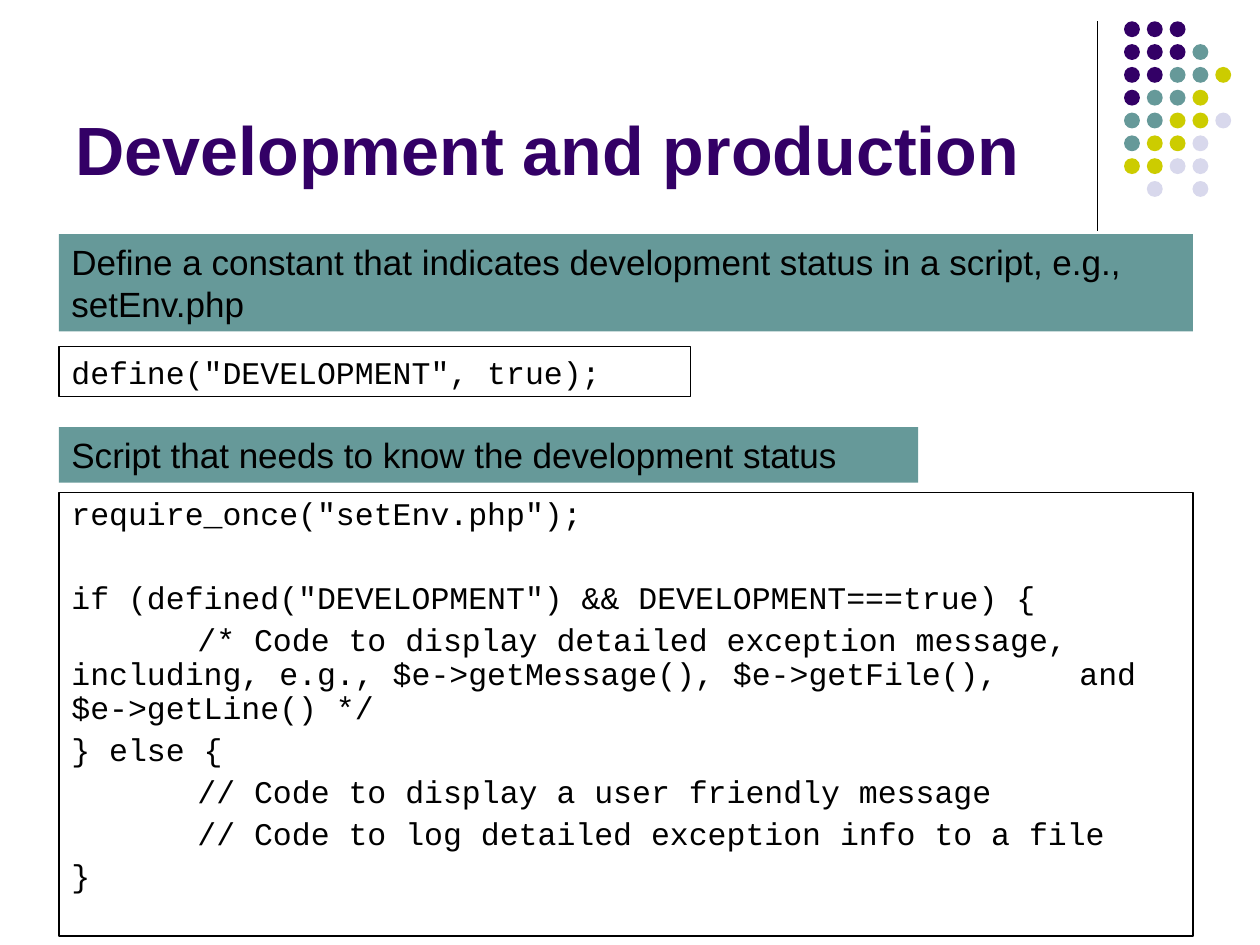
from dataclasses import dataclass

from lxml import etree
from pptx import Presentation
from pptx.dml.color import RGBColor
from pptx.enum.shapes import MSO_CONNECTOR, MSO_SHAPE
from pptx.enum.text import MSO_ANCHOR, MSO_AUTO_SIZE, PP_ALIGN
from pptx.oxml.ns import qn
from pptx.util import Cm, Pt

LEFT = PP_ALIGN.LEFT
TOP, MIDDLE, BOTTOM = MSO_ANCHOR.TOP, MSO_ANCHOR.MIDDLE, MSO_ANCHOR.BOTTOM
NO_AUTO_SIZE = MSO_AUTO_SIZE.NONE
RECTANGLE, OVAL = MSO_SHAPE.RECTANGLE, MSO_SHAPE.OVAL
STRAIGHT = MSO_CONNECTOR.STRAIGHT


@dataclass(frozen=True)
class Theme:
    """Colours, fonts and type sizes of the slide."""
    purple: str = "330066"
    teal: str = "669999"
    lime: str = "CCCC00"
    lavender: str = "D8D8EC"
    ink: str = "000000"
    body_font: str = "Arial"
    code_font: str = "Courier New"
    title_size: float = 39
    heading_size: float = 20
    code_size: float = 18
    line_width: float = 0.75


THEME = Theme()
DOT_ROWS = ("PPP", "PPPT", "PPTTL", "PTTL", "TTLLV", "TLLV", "LLVV", " V V")
DOT_COLORS = {"P": THEME.purple, "T": THEME.teal, "L": THEME.lime, "V": THEME.lavender}
DEFINE_CODE = ('define("DEVELOPMENT", true);',)
CHECK_CODE = (
    'require_once("setEnv.php");',
    'if (defined("DEVELOPMENT") && DEVELOPMENT===true) {',
    "\t/* Code to display detailed exception message, "
    "\tincluding, e.g., $e->getMessage(), $e->getFile(), \tand $e->getLine() */",
    "} else {",
    "\t// Code to display a user friendly message",
    "\t// Code to log detailed exception info to a file",
    "}",
)


def add_tab_stops(paragraph, count=8, step=2.54):
    """Give a paragraph evenly spaced left tab stops."""
    tab_list = etree.SubElement(paragraph._p.get_or_add_pPr(), qn("a:tabLst"))
    for number in range(1, count + 1):
        etree.SubElement(tab_list, qn("a:tab"), pos=str(int(Cm(number * step))), algn="l")


def write_text(shape, lines, *, font, size, color=THEME.ink, bold=False, anchor=TOP,
               line_spacing=None, gap=0, wide_gaps=None, tabs=False):
    """Write lines as paragraphs in a shape with one shared format."""
    frame = shape.text_frame
    frame.word_wrap = True
    frame.auto_size = NO_AUTO_SIZE
    frame.vertical_anchor = anchor
    for index, line in enumerate(lines):
        paragraph = frame.add_paragraph() if index else frame.paragraphs[0]
        paragraph.text = line
        if tabs:
            add_tab_stops(paragraph)
        paragraph.alignment = LEFT
        paragraph.line_spacing = line_spacing
        if index:
            paragraph.space_before = Pt((wide_gaps or {}).get(index, gap))
        paragraph.font.name = font
        paragraph.font.size = Pt(size)
        paragraph.font.bold = bold
        paragraph.font.color.rgb = RGBColor.from_string(color)


def add_box(shapes, kind, left, top, width, height, *, fill=None, line=None):
    """Add a flat shape with an optional fill and outline."""
    shape = shapes.add_shape(kind, Cm(left), Cm(top), Cm(width), Cm(height))
    shape.shadow.inherit = False
    if fill:
        shape.fill.solid()
        shape.fill.fore_color.rgb = RGBColor.from_string(fill)
    else:
        shape.fill.background()
    if line:
        shape.line.color.rgb = RGBColor.from_string(line)
        shape.line.width = Pt(THEME.line_width)
    else:
        shape.line.fill.background()
    return shape


def add_ornament(slide, left, top, height):
    """Draw the vertical rule and the grid of dots beside it."""
    rule = slide.shapes.add_connector(STRAIGHT, Cm(left), Cm(top), Cm(left), Cm(top + height))
    rule.line.color.rgb = RGBColor.from_string(THEME.ink)
    rule.line.width = Pt(THEME.line_width)
    etree.SubElement(rule._element.spPr, qn("a:effectLst"))
    dots = slide.shapes.add_group_shape().shapes
    pitch, diameter, inset = 0.46, 0.32, 0.54
    for row, letters in enumerate(DOT_ROWS):
        for column, letter in enumerate(letters):
            if letter in DOT_COLORS:
                add_box(dots, OVAL, left + inset + column * pitch, top + row * pitch,
                        diameter, diameter, fill=DOT_COLORS[letter])


def place_title(slide, text, left, top, width, height):
    """Move and format the title placeholder."""
    title = slide.shapes.title
    title.left, title.top, title.width, title.height = map(Cm, (left, top, width, height))
    write_text(title, [text], font=THEME.body_font, size=THEME.title_size,
               color=THEME.purple, bold=True, anchor=BOTTOM)


def add_code_section(slide, left, top, heading, heading_size, code, code_size, code_offset,
                     **code_format):
    """Stack a teal heading above an outlined code box."""
    band = add_box(slide.shapes, RECTANGLE, left, top, *heading_size, fill=THEME.teal)
    write_text(band, [heading], font=THEME.body_font, size=THEME.heading_size)
    listing = add_box(slide.shapes, RECTANGLE, left, top + code_offset, *code_size,
                      line=THEME.ink)
    write_text(listing, code, font=THEME.code_font, size=THEME.code_size, **code_format)


def main():
    """Build and save the slide."""
    presentation = Presentation()
    presentation.slide_width, presentation.slide_height = Cm(25.4), Cm(19.05)
    slide = presentation.slides.add_slide(presentation.slide_layouts[5])
    margin, full_width = 1.19, 22.86
    add_ornament(slide, 22.12, 0.43, 4.22)
    place_title(slide, "Development and production", 1.27, 0.33, 20.96, 3.61)
    add_code_section(
        slide, margin, 4.72,
        "Define a constant that indicates development status in a script, e.g., setEnv.php",
        (full_width, 1.96), DEFINE_CODE, (12.73, 1.02), 2.26, anchor=MIDDLE)
    add_code_section(
        slide, margin, 8.61, "Script that needs to know the development status",
        (17.32, 1.12), CHECK_CODE, (full_width, 8.94), 1.32,
        line_spacing=0.9, gap=4.5, wide_gaps={1: 28.4}, tabs=True)
    presentation.save("out.pptx")


if __name__ == "__main__":
    main()
